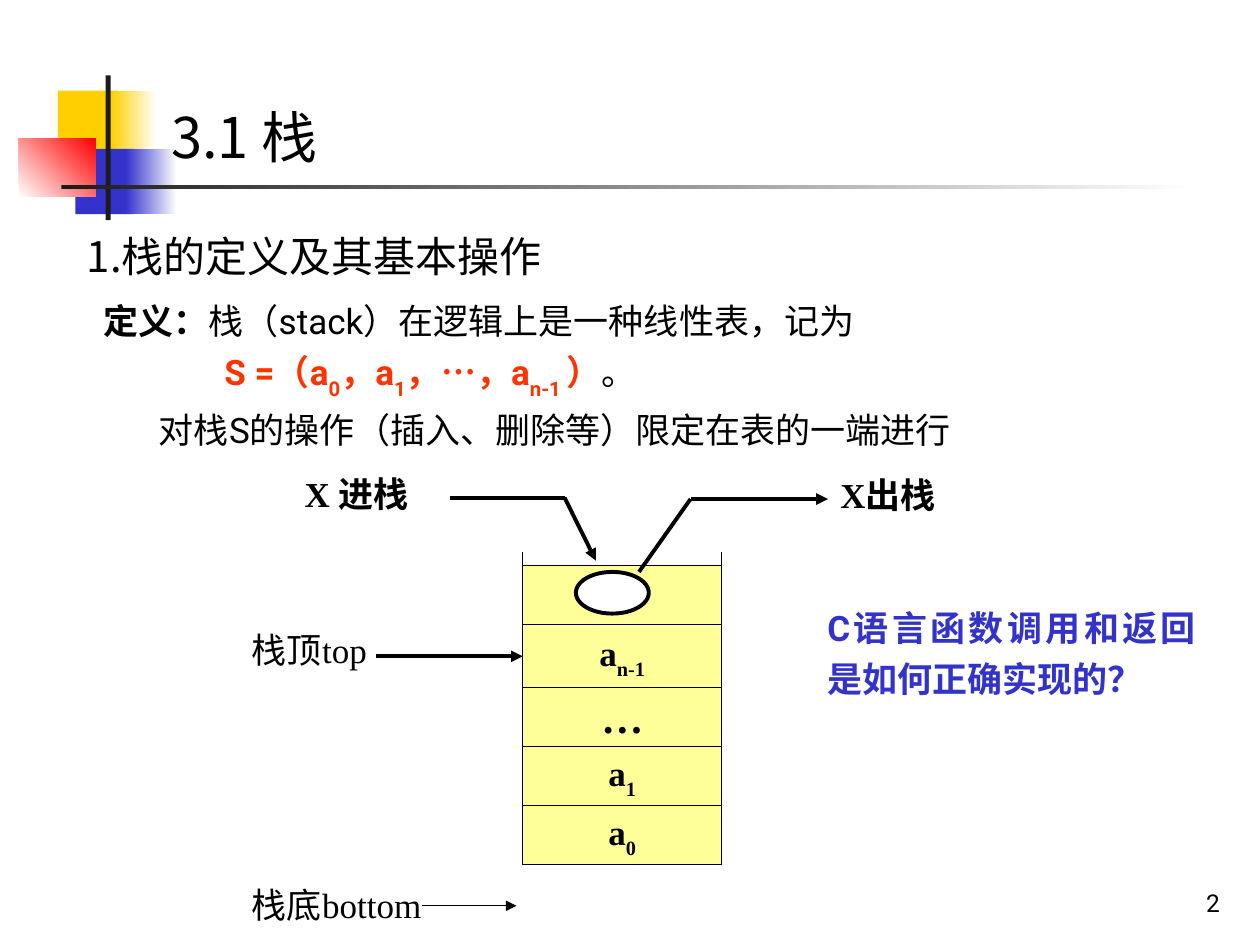
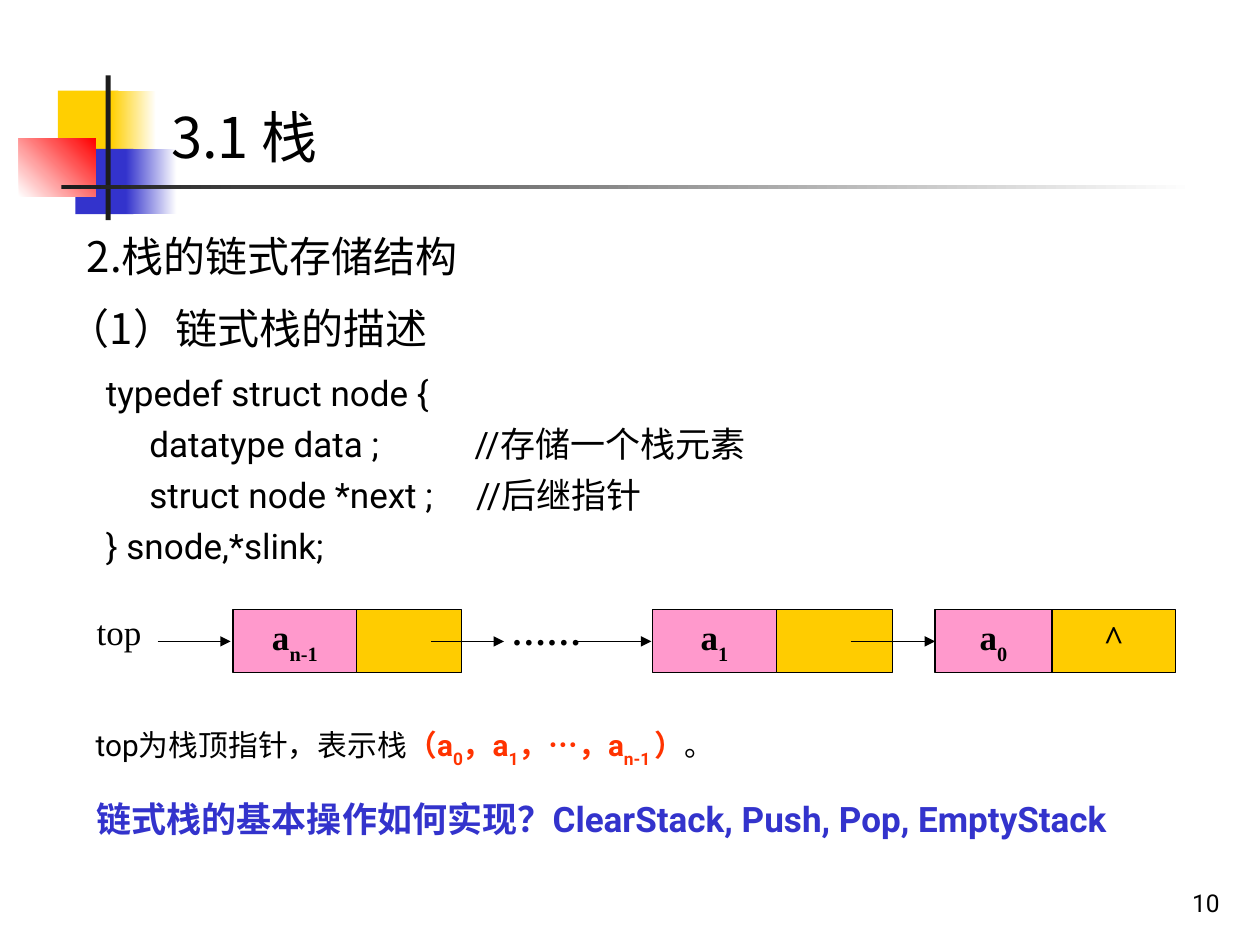
from dataclasses import dataclass, replace

from lxml.etree import SubElement
from pptx import Presentation
from pptx.dml.color import RGBColor
from pptx.enum.shapes import MSO_CONNECTOR, MSO_SHAPE
from pptx.enum.text import MSO_ANCHOR, MSO_AUTO_SIZE, PP_ALIGN
from pptx.oxml.ns import qn
from pptx.util import Cm, Pt

BLACK = "000000"
WHITE = "FFFFFF"
CHARCOAL = "1C1C1C"
GOLD = "FFCF01"
BLUE = "3333CC"
RED = "FF0000"
ORANGE_RED = "FF3300"
PALE_YELLOW = "FFFF99"
PINK = "FF99CC"
AMBER = "FFCC00"
CHINESE_FONT = "Noto Sans CJK SC"


@dataclass(frozen=True)
class Style:
    size: float = 20
    font: str = "Roboto"
    color: str = BLACK
    bold: bool = False
    subscript: bool = False


BODY = Style()
TITLE = Style(size=32, font="Noto Sans CJK JP")
HEADING = Style(size=24, font=CHINESE_FONT)
QUESTION = Style(color=BLUE, bold=True)
LABEL = Style(font="Times New Roman")
BOLD_LABEL = replace(LABEL, bold=True)
PAGE_NUMBER = Style(size=14)


def rgb(color):
    return RGBColor.from_string(color)


def format_run(run, style):
    font = run.font
    font.size = Pt(style.size)
    font.bold = style.bold
    font.color.rgb = rgb(style.color)
    font.name = style.font
    properties = run._r.get_or_add_rPr()
    if style.subscript:
        properties.set("baseline", "-30000")
    east_asian = style.font if "CJK" in style.font else CHINESE_FONT
    SubElement(properties, qn("a:ea"), typeface=east_asian)


def write_paragraph(paragraph, pieces, align=PP_ALIGN.LEFT, indent=0):
    """Fill a paragraph with (text, style) pieces, without a bullet."""
    properties = paragraph._p.get_or_add_pPr()
    properties.set("marL", str(Cm(indent)))
    properties.set("indent", "0")
    SubElement(properties, qn("a:buNone"))
    paragraph.alignment = align
    paragraph.space_before = Pt(0)
    for text, style in pieces:
        run = paragraph.add_run()
        run.text = text
        format_run(run, style)


def place(shape, left, top, width, height):
    shape.left, shape.top = Cm(left), Cm(top)
    shape.width, shape.height = Cm(width), Cm(height)


def fill_placeholder(placeholder, box, paragraphs, space_before=0):
    """Write (pieces, indent) paragraphs into a moved placeholder."""
    place(placeholder, *box)
    frame = placeholder.text_frame
    frame.auto_size = MSO_AUTO_SIZE.NONE
    frame.vertical_anchor = MSO_ANCHOR.TOP
    for number, (pieces, indent) in enumerate(paragraphs):
        paragraph = frame.add_paragraph() if number else frame.paragraphs[0]
        write_paragraph(paragraph, pieces, indent=indent)
        if number:
            paragraph.space_before = Pt(space_before)


def add_text(slide, box, pieces, align=PP_ALIGN.LEFT, indent=0):
    text_box = slide.shapes.add_textbox(*map(Cm, box))
    frame = text_box.text_frame
    frame.word_wrap = True
    write_paragraph(frame.paragraphs[0], pieces, align, indent)
    return frame


def add_figure(slide, box, fill, line_width=0, kind=MSO_SHAPE.RECTANGLE):
    shape = slide.shapes.add_shape(kind, *map(Cm, box))
    shape.shadow.inherit = False
    shape.fill.solid()
    shape.fill.fore_color.rgb = rgb(fill)
    if line_width:
        shape.line.color.rgb = rgb(BLACK)
        shape.line.width = Pt(line_width)
    else:
        shape.line.fill.background()
    return shape


def add_fade(slide, box, start, end, angle=0):
    """Add a borderless rectangle with a two-colour gradient."""
    shape = add_figure(slide, box, start)
    shape.fill.gradient()
    shape.fill.gradient_angle = angle
    for stop, color in zip(shape.fill.gradient_stops, (start, end)):
        stop.color.rgb = rgb(color)
    return shape


def add_cell(slide, box, fill, pieces=(), anchor=MSO_ANCHOR.MIDDLE):
    frame = add_figure(slide, box, fill, 0.75).text_frame
    frame.word_wrap = False
    frame.vertical_anchor = anchor
    write_paragraph(frame.paragraphs[0], pieces, PP_ALIGN.CENTER)


def add_line(slide, start, end, width=0.75, arrow=False):
    line = slide.shapes.add_connector(
        MSO_CONNECTOR.STRAIGHT, *map(Cm, (*start, *end)))
    line.line.color.rgb = rgb(BLACK)
    line.line.width = Pt(width)
    if arrow:
        SubElement(line.line._get_or_add_ln(), qn("a:tailEnd"), type="triangle")
    SubElement(line._element.spPr, qn("a:effectLst"))


def element_name(index):
    """Pieces for a stack element such as a with a subscript."""
    return [("a", BOLD_LABEL), (index, replace(BOLD_LABEL, subscript=True))]


def stack_sequence(opening, style):
    """Pieces for the highlighted sequence of all stack elements."""
    strong = replace(style, color=ORANGE_RED, bold=True)
    low = replace(strong, subscript=True)
    return [(opening + "（a", strong), ("0", low), ("，a", strong), ("1", low),
            ("，", strong), ("…", replace(strong, font="Arial")),
            ("，a", strong), ("n-1 ", low), ("）", strong), ("。", style)]


def decorate_layout(layout, slide):
    """Draw the shared squares and rules, then move them into the layout."""
    for placeholder in list(layout.placeholders)[2:]:
        placeholder.element.getparent().remove(placeholder.element)
    decorations = [
        add_figure(slide, (1.17, 1.83, 1.22, 1.32), GOLD),
        add_fade(slide, (2.24, 1.83, 0.91, 1.32), GOLD, WHITE),
        add_figure(slide, (1.52, 3, 1.17, 1.32), BLUE),
        add_fade(slide, (2.54, 3, 1.02, 1.32), BLUE, WHITE),
        add_fade(slide, (0.38, 2.79, 1.55, 1.17), WHITE, RED, 45),
        add_figure(slide, (2.13, 1.52, 0.1, 2.92), CHARCOAL),
        add_fade(slide, (1.24, 3.73, 22.86, 0.08), CHARCOAL, WHITE),
    ]
    first_placeholder = layout.placeholders[0].element
    for shape in decorations:
        first_placeholder.addprevious(shape.element)


def start_slide(presentation, heading, page):
    slide = presentation.slides.add_slide(presentation.slide_layouts[1])
    fill_placeholder(slide.shapes.title, (3.2, 1.93, 22.2, 1.63),
                     [([("3.1 栈", TITLE)], 0)])
    add_text(slide, (1.5, 4.52, 18.8, 1.27), [(heading, HEADING)])
    number = add_text(slide, (19.56, 17.35, 5.28, 1.27),
                      [(page, PAGE_NUMBER)], PP_ALIGN.RIGHT)
    number.vertical_anchor = MSO_ANCHOR.BOTTOM
    return slide


def draw_stack(slide):
    left, width, top = 10.54, 4.01, 11.4
    rows = [([], 1.19), (element_name("n-1"), 1.27),
            ([("…", replace(BOLD_LABEL, size=24))], 1.19),
            (element_name("1"), 1.19), (element_name("0"), 1.19)]
    for pieces, height in rows:
        add_cell(slide, (left, top, width, height), PALE_YELLOW, pieces)
        top += height
    for x, bottom in ((left, 11.76), (left + width, 11.53)):
        add_line(slide, (x, 11.13), (x, bottom))

    add_text(slide, (4.83, 12.55, 4.88, 1.12), [("栈顶top", LABEL)])
    add_line(slide, (7.57, 13.23), (left, 13.23), 2.25, arrow=True)
    add_text(slide, (4.83, 17.68, 4.88, 1.12), [("栈底bottom", LABEL)])
    add_line(slide, (8.51, 18.26), (10.41, 18.26), arrow=True)


def draw_push_and_pop(slide):
    add_text(slide, (5.89, 9.4, 3.38, 1.12), [("X 进栈", BOLD_LABEL)])
    add_text(slide, (16.69, 9.42, 2.97, 1.12), [("X出栈", BOLD_LABEL)])
    push_path = [(9.07, 10.03), (11.38, 10.03), (12.01, 11.3)]
    pop_path = [(12.88, 11.53), (13.92, 10.06), (16.69, 10.06)]
    for start, bend, end in (push_path, pop_path):
        add_line(slide, start, bend, 2.25)
        add_line(slide, bend, end, 2.25, arrow=True)
    add_figure(slide, (11.61, 11.53, 1.47, 0.84), WHITE, 2.25, MSO_SHAPE.OVAL)


def draw_linked_stack(slide):
    top, height, arrow_y = 12.29, 1.27, 12.93
    caret = [("^", BOLD_LABEL)]
    nodes = [(4.7, 2.49, 2.11, "n-1", []), (13.16, 2.49, 2.34, "1", []),
             (18.85, 2.36, 2.49, "0", caret)]
    for left, data_width, link_width, index, link in nodes:
        add_cell(slide, (left, top, data_width, height), PINK,
                 element_name(index), MSO_ANCHOR.TOP)
        add_cell(slide, (left + data_width, top, link_width, height), AMBER,
                 link, MSO_ANCHOR.TOP)
    for start, end in ((3.18, 4.65), (8.69, 10.16), (11.63, 13.13), (17.15, 18.85)):
        add_line(slide, (start, arrow_y), (end, arrow_y), arrow=True)
    add_text(slide, (1.7, 12.19, 2, 1.12), [("top", LABEL)])
    add_text(slide, (10.06, 12.19, 2.2, 1.12), [("……", BOLD_LABEL)])


def build_definition_slide(presentation):
    slide = start_slide(presentation, "1.栈的定义及其基本操作", "2")
    definition = [
        ([("定义：", replace(BODY, bold=True)),
          ("栈（stack）在逻辑上是一种线性表，记为", BODY)], 0),
        (stack_sequence("S =", BODY), 2.44),
        ([("对栈S的操作（插入、删除等）限定在表的一端进行", BODY)], 1.12),
    ]
    fill_placeholder(slide.placeholders[1], (1.83, 5.92, 22.66, 4.04), definition, 5)
    draw_stack(slide)
    draw_push_and_pop(slide)
    question = add_text(slide, (15.47, 11.94, 8.89, 3.96),
                        [("C语言函数调用和返回是如何正确实现的？", QUESTION)],
                        PP_ALIGN.JUSTIFY, 0.96)
    question.paragraphs[0].line_spacing = 1.2
    return slide


def build_linked_stack_slide(presentation):
    slide = start_slide(presentation, "2.栈的链式存储结构", "10")
    add_text(slide, (1.12, 5.97, 22.66, 1.55), [("（1）链式栈的描述", HEADING)])
    code = ["typedef struct node {",
            "     datatype data ;           //存储一个栈元素",
            "     struct node *next ;     //后继指针",
            "} snode,*slink;"]
    fill_placeholder(slide.placeholders[1], (1.88, 7.37, 17.78, 4.45),
                     [([(line, BODY)], 0) for line in code], 5)
    draw_linked_stack(slide)
    note = replace(BODY, size=17)
    add_text(slide, (1.68, 14.53, 20.52, 1.19),
             [("top为栈顶指针，表示栈", note)] + stack_sequence("", note))
    add_text(slide, (1.7, 15.95, 22.15, 1.19),
             [("链式栈的基本操作如何实现？ClearStack, Push, Pop, EmptyStack", QUESTION)])


def main():
    presentation = Presentation()
    presentation.slide_width, presentation.slide_height = Cm(25.4), Cm(19.05)
    first_slide = build_definition_slide(presentation)
    decorate_layout(presentation.slide_layouts[1], first_slide)
    build_linked_stack_slide(presentation)
    presentation.save("out.pptx")


if __name__ == "__main__":
    main()
